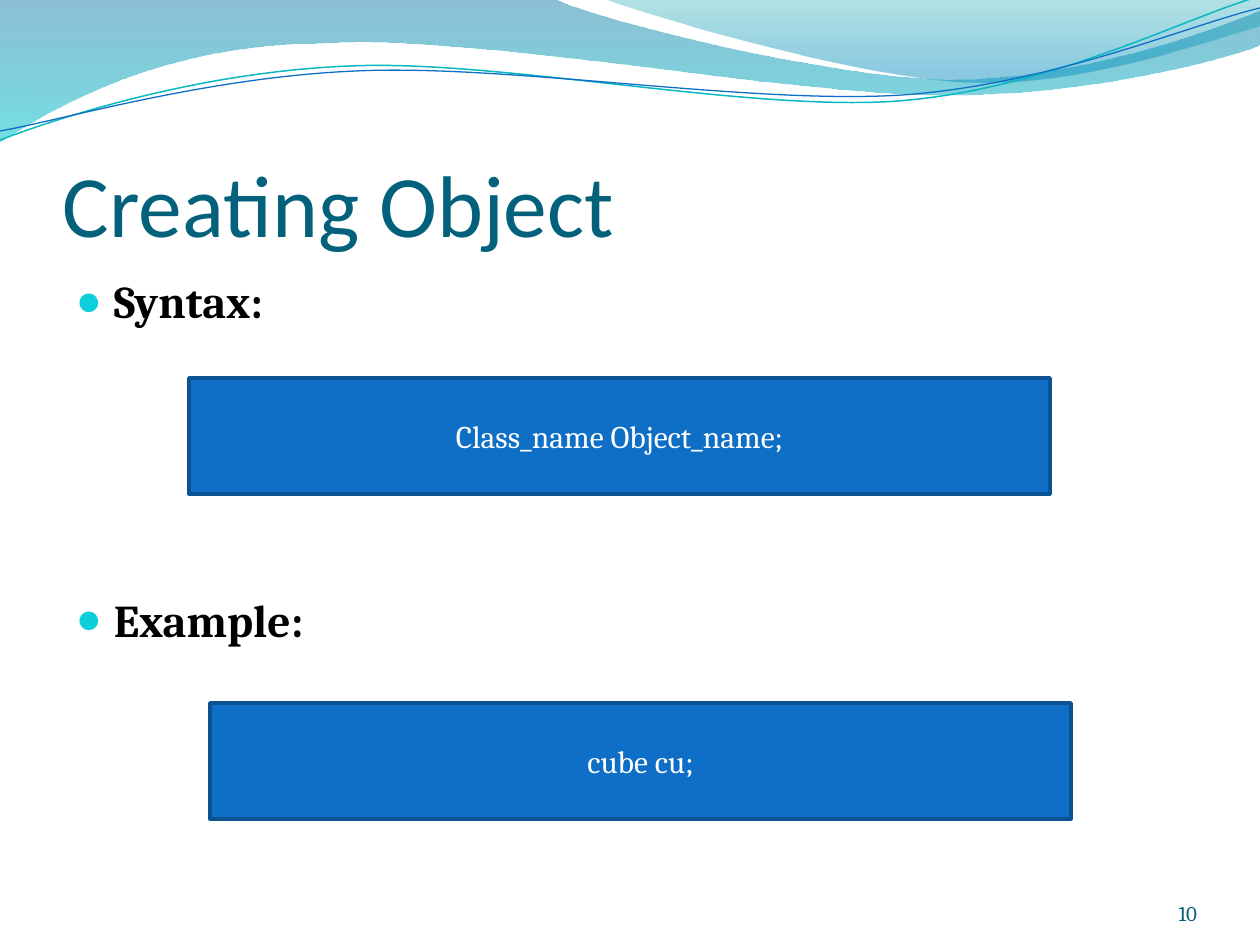
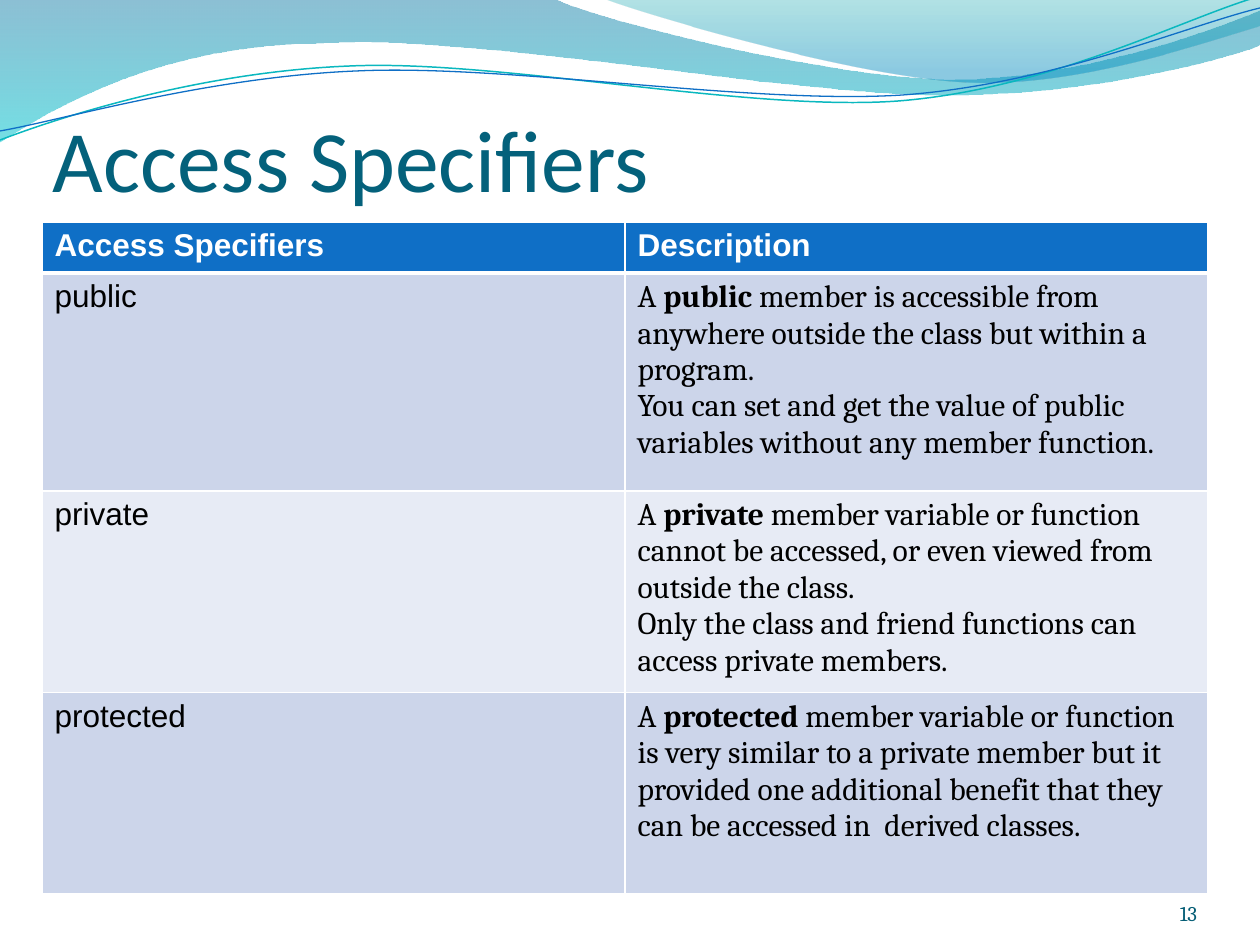
from dataclasses import dataclass

from pptx import Presentation
from pptx import util as u
from pptx.dml.color import RGBColor
from pptx.enum import shapes, text
from pptx.oxml import ns, xmlchemy


PX = 914400 / 126


@dataclass(frozen=True)
class Theme:
    title: str = "04617B"
    number: str = "045D75"
    bullet: str = "0BD0D9"
    accent: str = "0F6FC6"
    accent_edge: str = "0B5292"
    teal: str = "0AB8BF"
    ink: str = "000000"
    white: str = "FFFFFF"
    bands: tuple = ("CCD5EA", "E7EBF5")
    wave_left: tuple = ((0, "0074A1", 45), (100, "00C6CF", 55))
    wave_right: tuple = ((0, "00A1A9", 30), (80, "008BBF", 45))
    title_font: str = "Calibri"
    body_font: str = "Cambria"
    table_font: str = "Arial"
    title_size: int = 50
    bullet_size: int = 26
    text_size: int = 18
    number_size: int = 12


THEME = Theme()

# Each outline is a start point followed by line points (2 numbers)
# and Bezier curves (6 numbers)
LEFT_WAVE = [(0, -1), (554, -1), (600, 21, 837, 79, 955, 79),
             (1074, 79, 1207, 33, 1260, 11), (1261, 45),
             (1239, 55, 1096, 96, 940, 95), (783, 94, 481, 35, 324, 43),
             (163, 44, 58, 105, -1, 142), (0, -1)]
RIGHT_WAVE = [(604, -1), (641, 14, 859, 78, 969, 82),
              (1079, 87, 1211, 40, 1260, 26), (1260, 0), (604, -1)]
TEAL_LINE = [(0, 140), (60, 117, 199, 72, 349, 66),
             (498, 59, 747, 112, 898, 101), (1050, 89, 1182, 19, 1257, -3)]
BLUE_LINE = [(0, 131), (59, 121, 207, 77, 357, 71),
             (508, 64, 752, 105, 903, 95), (1053, 84, 1186, 26, 1260, 8)]

# Fixed spaces hold each keyword to its neighbours
SPECIFIERS = [
    ("public",
     " member is accessible from anywhere outside the class but within a program.",
     "You can set and get the value of public variables without any member function."),
    ("private",
     " member variable or function cannot be accessed, or even viewed from outside the class.",
     "Only the class and friend functions can access private members."),
    ("protected",
     " member variable or function is very similar to a private member but it provided "
     "one additional benefit that they can be accessed in  derived classes.",
     None),
]


def px(*lengths):
    return [u.Emu(round(length * PX)) for length in lengths]


def rgb(color):
    return RGBColor.from_string(color)


def set_font(paragraph, name, size, color, bold=None):
    font = paragraph.font
    font.name, font.size, font.bold = name, u.Pt(size), bold
    font.color.rgb = rgb(color)


def add_element(parent, tag, position=None, **attributes):
    element = xmlchemy.OxmlElement(tag)
    for name, value in attributes.items():
        element.set(name, str(value))
    parent.insert(len(parent) if position is None else position, element)
    return element


# Wave header

def add_outline(slide, outline, close):
    start, *segments = outline
    points = [px(*segment[i:i + 2]) for segment in segments
              for i in range(0, len(segment), 2)]
    builder = slide.shapes.build_freeform(*px(*start), scale=1.0)
    builder.add_line_segments(points, close=close)
    shape = builder.convert_to_shape()
    shape.shadow.inherit = False

    # Join the three points of each curve into one Bezier segment
    lines = iter(list(shape.element.iter(ns.qn("a:lnTo"))))
    for segment in segments:
        first = next(lines)
        if len(segment) == 6:
            curve = xmlchemy.OxmlElement("a:cubicBezTo")
            first.addprevious(curve)
            for line in (first, next(lines), next(lines)):
                curve.append(line[0])
                line.getparent().remove(line)
    return shape


def add_wave(slide, outline, stops):
    shape = add_outline(slide, outline, True)
    shape.fill.gradient()
    shape.fill.gradient_angle = 270
    for stop, (position, color, _) in zip(shape.fill.gradient_stops, stops):
        stop.position = position / 100
        stop.color.rgb = rgb(color)
    colors = list(shape.element.spPr.iter(ns.qn("a:srgbClr")))
    for element, (_, _, opacity) in zip(colors, stops):
        add_element(element, "a:alpha", val=opacity * 1000)
    shape.line.fill.background()


def add_wave_line(slide, outline, color, width):
    shape = add_outline(slide, outline, False)
    shape.fill.background()
    shape.line.color.rgb = rgb(color)
    shape.line.width = u.Pt(width)


# Text and boxes

def add_text(slide, box, content, margins=(0, 0, 0, 0), anchor=text.MSO_ANCHOR.BOTTOM):
    frame = slide.shapes.add_textbox(*px(*box)).text_frame
    frame.word_wrap = True
    frame.vertical_anchor = anchor
    (frame.margin_left, frame.margin_top,
     frame.margin_right, frame.margin_bottom) = px(*margins)
    frame.text = content
    return frame


def add_bullets(slide, box, items):
    frame = add_text(slide, box, "\n".join(label for label, _ in items),
                     (13, 6, 13, 6), text.MSO_ANCHOR.TOP)
    indent, = px(38)
    for paragraph, (_, space) in zip(frame.paragraphs, items):
        set_font(paragraph, THEME.body_font, THEME.bullet_size, THEME.ink, True)
        paragraph.space_before = u.Pt(space)
        properties = paragraph._p.get_or_add_pPr()
        properties.set("marL", str(indent))
        properties.set("indent", str(-indent))
        # Bullet marks go after the spacing and before the font defaults
        color = add_element(properties, "a:buClr", 1)
        add_element(color, "a:srgbClr", val=THEME.bullet)
        add_element(properties, "a:buSzPct", 2, val=95000)
        add_element(properties, "a:buFont", 3, typeface=THEME.table_font)
        add_element(properties, "a:buChar", 4, char="●")


def add_code_box(slide, left, top, code):
    shape = slide.shapes.add_shape(shapes.MSO_SHAPE.RECTANGLE, *px(left, top, 861, 116))
    shape.shadow.inherit = False
    shape.fill.solid()
    shape.fill.fore_color.rgb = rgb(THEME.accent)
    shape.line.color.rgb = rgb(THEME.accent_edge)
    shape.line.width = u.Pt(2)
    frame = shape.text_frame
    frame.text = code
    frame.vertical_anchor = text.MSO_ANCHOR.MIDDLE
    paragraph = frame.paragraphs[0]
    paragraph.alignment = text.PP_ALIGN.CENTER
    set_font(paragraph, THEME.body_font, THEME.text_size, THEME.white)


# Table

def style_cell(cell, fill, top=1, bottom=1):
    cell.fill.solid()
    cell.fill.fore_color.rgb = rgb(fill)
    properties = cell._tc.get_or_add_tcPr()
    widths = {"a:lnL": 1, "a:lnR": 1, "a:lnT": top, "a:lnB": bottom}
    for position, (tag, width) in enumerate(widths.items()):
        line = add_element(properties, tag, position, w=u.Pt(width))
        add_element(add_element(line, "a:solidFill"), "a:srgbClr", val=THEME.white)


def fill_description(cell, keyword, rest, remark):
    frame = cell.text_frame
    first = frame.paragraphs[0]
    for part in ("A ", keyword, rest):
        run = first.add_run()
        run.text = part
        run.font.bold = part == keyword
    if remark:
        frame.add_paragraph().text = remark
    for paragraph in frame.paragraphs:
        set_font(paragraph, THEME.body_font, THEME.text_size, THEME.ink)


def add_specifier_table(slide):
    heights = (51, 218, 201, 201)
    table = slide.shapes.add_table(len(heights), 2, *px(42, 222, 1166, sum(heights))).table
    table.horz_banding = False
    for column in table.columns:
        column.width, = px(583)
    for row, height in zip(table.rows, heights):
        row.height, = px(height)

    for cell, heading in zip(table.rows[0].cells, ("Access Specifiers", "Description")):
        cell.text = heading
        set_font(cell.text_frame.paragraphs[0], THEME.table_font, THEME.text_size,
                 THEME.white, True)
        style_cell(cell, THEME.accent, bottom=3)

    for index, (keyword, rest, remark) in enumerate(SPECIFIERS):
        name_cell, description_cell = table.rows[index + 1].cells
        name_cell.text = keyword
        set_font(name_cell.text_frame.paragraphs[0], THEME.table_font,
                 THEME.text_size, THEME.ink)
        fill_description(description_cell, keyword, rest, remark)
        for cell in (name_cell, description_cell):
            style_cell(cell, THEME.bands[index % 2], top=1 if index else 3)


# Slides

def add_slide(presentation, title, left, top, number):
    slide = presentation.slides.add_slide(presentation.slide_layouts[6])
    add_wave(slide, LEFT_WAVE, THEME.wave_left)
    add_wave(slide, RIGHT_WAVE, THEME.wave_right)
    add_wave_line(slide, TEAL_LINE, THEME.teal, 0.85)
    add_wave_line(slide, BLUE_LINE, THEME.accent, 0.75)

    heading = add_text(slide, (left, top, 1134, 158), title, (0, 6, 0, 0))
    set_font(heading.paragraphs[0], THEME.title_font, THEME.title_size, THEME.title)

    footer = add_text(slide, (1092, 876, 105, 50), number).paragraphs[0]
    footer.alignment = text.PP_ALIGN.RIGHT
    set_font(footer, THEME.body_font, THEME.number_size, THEME.number)
    return slide


def main():
    presentation = Presentation()
    presentation.slide_width, presentation.slide_height = px(1260, 945)

    creating = add_slide(presentation, "Creating Object", 63, 97, "10")
    add_bullets(creating, (63, 267, 1134, 605), [("Syntax:", 3), ("Example:", 151)])
    add_code_box(creating, 189, 378, "Class_name Object_name;")
    add_code_box(creating, 210, 703, "cube cu;")

    access = add_slide(presentation, "Access Specifiers", 53, 52, "13")
    add_specifier_table(access)

    presentation.save("out.pptx")


if __name__ == "__main__":
    main()
